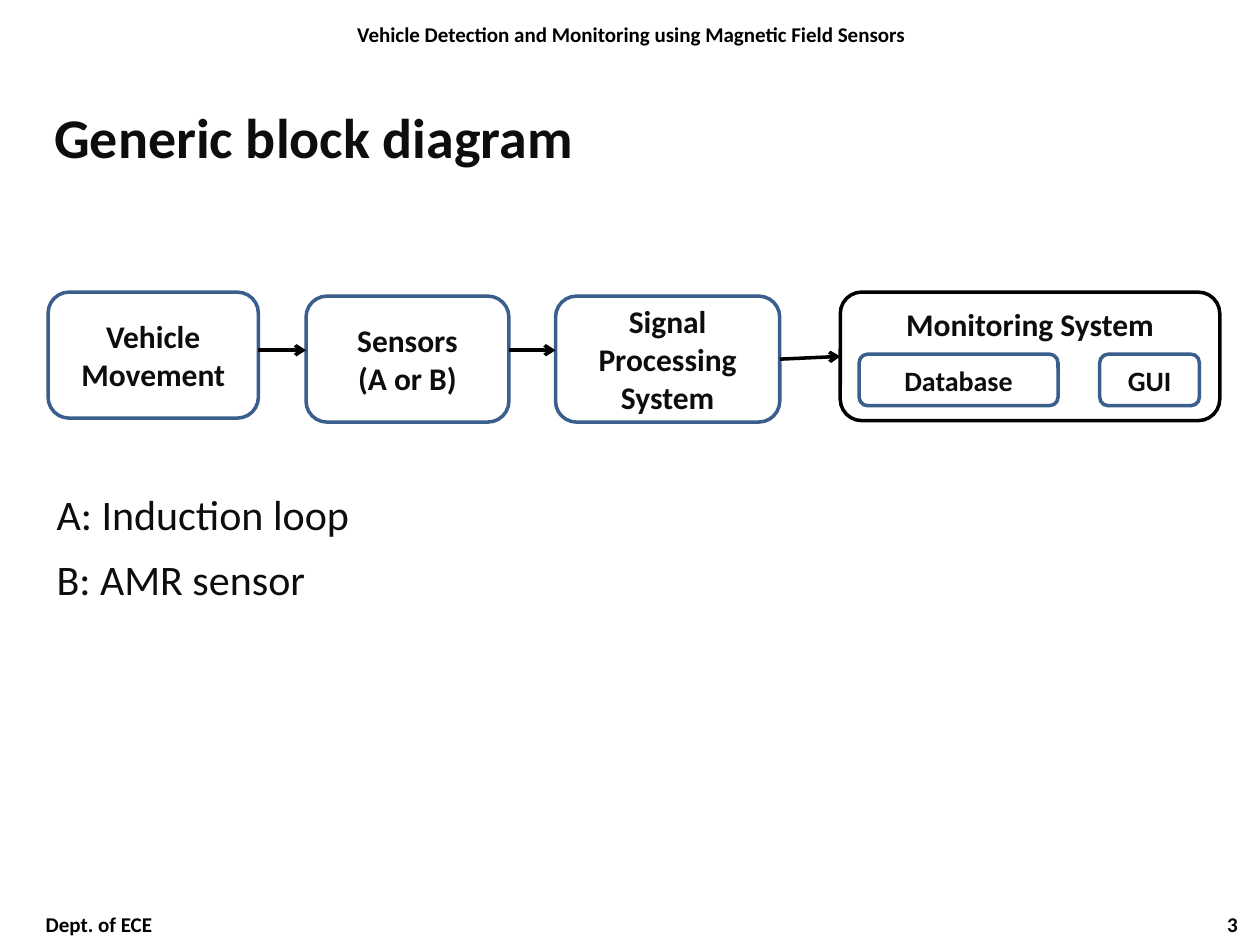
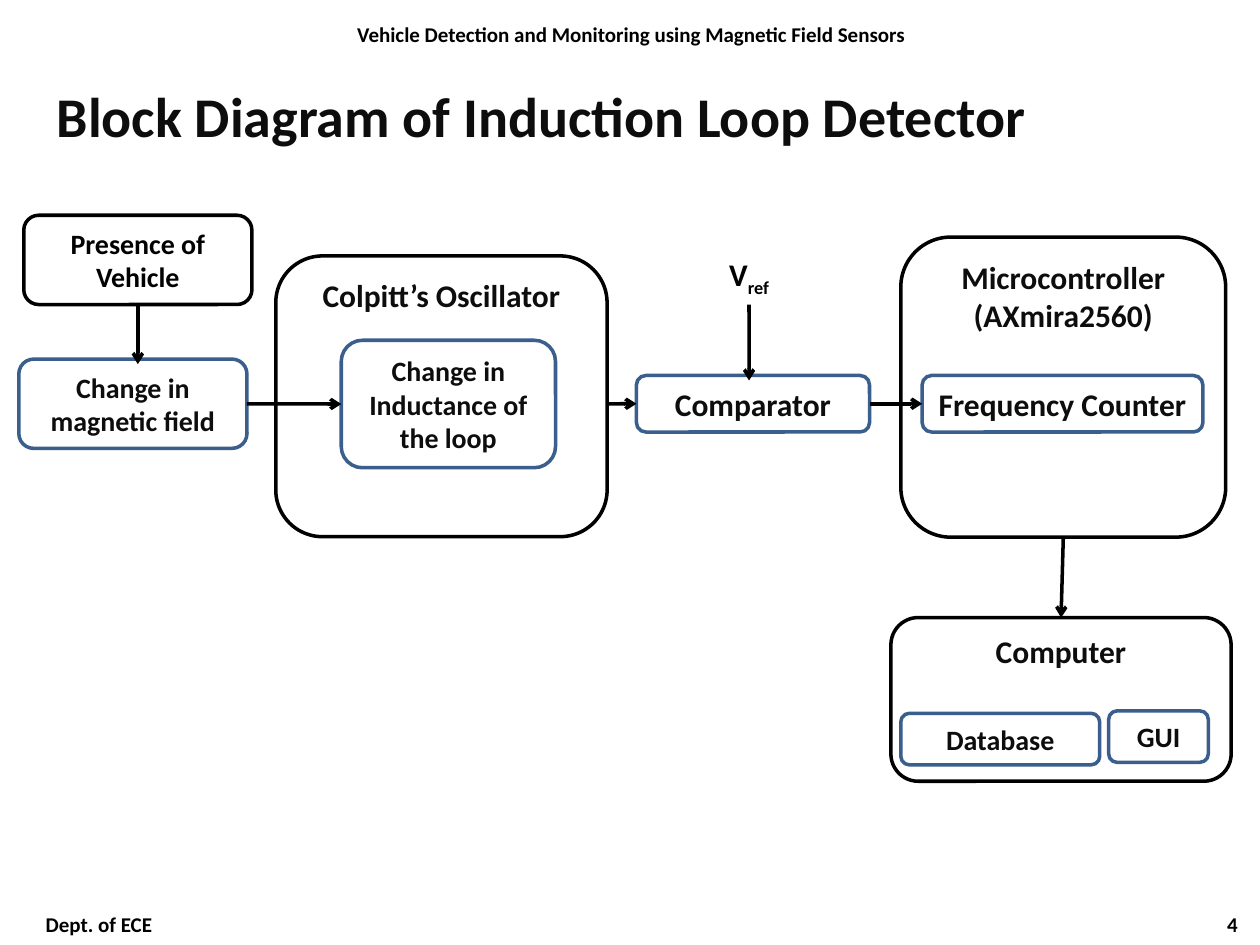
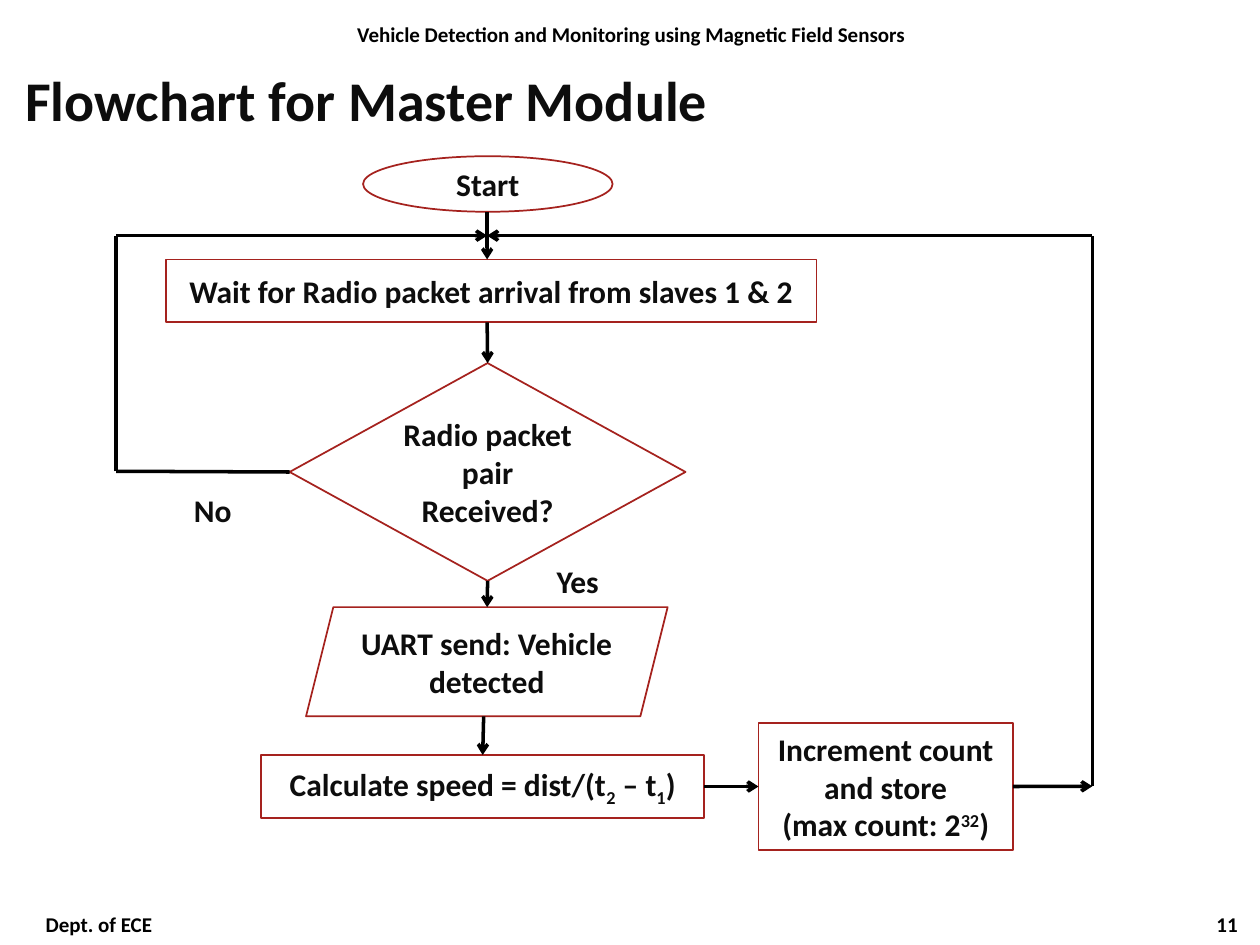
import dataclasses

import pptx
import pptx.dml.color
import pptx.enum.shapes
import pptx.enum.text
import pptx.oxml.ns
import pptx.util
from lxml import etree

Cm = pptx.util.Cm
Pt = pptx.util.Pt
qn = pptx.oxml.ns.qn
Form = pptx.enum.shapes.MSO_SHAPE
Align = pptx.enum.text.PP_ALIGN
Anchor = pptx.enum.text.MSO_ANCHOR
TOP, LEFT, BOTTOM, RIGHT = range(4)


@dataclasses.dataclass(frozen=True)
class Theme:
    font: str = "Calibri"
    ink: str = "0D0D0D"
    black: str = "000000"
    white: str = "FFFFFF"
    blue: str = "3A5F8C"
    red: str = "A5221E"
    title: int = 32
    body: int = 24
    label: int = 18
    small: int = 16
    note: int = 12
    thick: float = 2
    thin: float = 1


def color(code):
    return pptx.dml.color.RGBColor.from_string(code)


class Deck:
    def __init__(self, theme):
        self.theme = theme
        self.show = pptx.Presentation()
        self.show.slide_width, self.show.slide_height = Cm(25.4), Cm(19.05)
        self.slide = None

    def page(self, title, number, at):
        """Start a slide with its title, header and footer."""
        t = self.theme
        self.slide = self.show.slides.add_slide(self.show.slide_layouts[5])
        head = self.slide.shapes.title
        head.left, head.top, head.width, head.height = map(Cm, at)
        self.label(head, title, t.title, align=Align.LEFT, anchor=Anchor.TOP)
        note = dict(size=t.note, ink=t.black, bold=True)
        self.text("Vehicle Detection and Monitoring using Magnetic Field Sensors",
                  (6.8, 0.3, 11.86, 1.02), align=Align.CENTER, **note)
        self.text("Dept. of ECE", (0.67, 17.98, 6, 1.02),
                  anchor=Anchor.BOTTOM, **note)
        self.text(number, (22.2, 17.98, 3, 1.02), align=Align.RIGHT,
                  anchor=Anchor.BOTTOM, **note)

    def label(self, shape, words, size, ink=None, bold=True,
              align=Align.CENTER, anchor=Anchor.MIDDLE, gap=0):
        """Fill in text; after a bar, _ lowers a piece and ^ raises it."""
        frame = shape.text_frame
        frame.word_wrap = True
        frame.vertical_anchor = anchor
        for i, row in enumerate(words.split("\n")):
            para = frame.add_paragraph() if i else frame.paragraphs[0]
            para.alignment = align
            para.space_before = Pt(gap if i else 0)
            font = para.font
            font.name, font.size, font.bold = self.theme.font, Pt(size), bold
            font.color.rgb = color(ink or self.theme.ink)
            for piece in row.split("|"):
                shift = {"_": "-25000", "^": "30000"}.get(piece[0])
                run = para.add_run()
                run.text = piece[1:] if shift else piece
                if shift:
                    run._r.get_or_add_rPr().set("baseline", shift)

    def text(self, words, at, size, align=Align.LEFT, anchor=Anchor.TOP, **style):
        box = self.slide.shapes.add_textbox(*map(Cm, at))
        self.label(box, words, size, align=align, anchor=anchor, **style)
        return box

    def shape(self, form, words, at, edge, width, size=None, fill=True, **style):
        box = self.slide.shapes.add_shape(form, *map(Cm, at))
        box.shadow.inherit = False
        if fill:
            box.fill.solid()
            box.fill.fore_color.rgb = color(self.theme.white)
        else:
            box.fill.background()
        box.line.color.rgb = color(edge)
        box.line.width = Pt(width)
        self.label(box, words, size or self.theme.label, **style)
        return box

    def block(self, words, at, size=None, edge=None, **style):
        return self.shape(Form.ROUNDED_RECTANGLE, words, at,
                          edge or self.theme.blue, self.theme.thick, size, **style)

    def group(self, words, at):
        """Draw an unfilled frame around other blocks, with its label on top."""
        return self.block(words, at, edge=self.theme.black, fill=False,
                          anchor=Anchor.TOP)

    def step(self, form, words, at):
        return self.shape(form, words, at, self.theme.red, self.theme.thin)

    def line(self, start, end, arrow=True):
        """Draw from start to end; each is a point or a (shape, side) pair."""
        wire = self.slide.shapes.add_connector(
            pptx.enum.shapes.MSO_CONNECTOR.STRAIGHT, 0, 0, 0, 0)
        if isinstance(start[0], (int, float)):
            wire.begin_x, wire.begin_y = map(Cm, start)
        else:
            wire.begin_connect(*start)
        if isinstance(end[0], (int, float)):
            wire.end_x, wire.end_y = map(Cm, end)
        else:
            wire.end_connect(*end)
        wire.line.color.rgb = color(self.theme.black)
        wire.line.width = Pt(self.theme.thick)
        props = wire._element.spPr
        if arrow:
            etree.SubElement(props.find(qn("a:ln")), qn("a:tailEnd"), type="arrow")
        etree.SubElement(props, qn("a:effectLst"))


def generic(deck):
    t = deck.theme
    deck.page("Generic block diagram", "3", (0.84, 1.93, 23.8, 1.88))

    # Chain of blocks
    deck.block("Vehicle Movement", (0.97, 5.89, 4.24, 2.54))
    deck.block("Sensors\n(A or B)", (6.17, 5.97, 4.09, 2.54))
    signal = deck.block("Signal Processing System", (11.2, 5.97, 4.52, 2.54))
    monitor = deck.group("Monitoring System", (16.94, 5.89, 7.65, 2.59))
    deck.block("Database", (17.32, 7.14, 4.01, 1.04), t.small)
    deck.block("GUI", (22.17, 7.14, 2.01, 1.04), t.small)

    # Arrows
    for left, right in ((5.21, 6.17), (10.26, 11.2)):
        deck.line((left, 7.06), (right, 7.06))
    deck.line((signal, RIGHT), (monitor, LEFT))

    # Key
    deck.text("A: Induction loop\nB: AMR sensor", (0.89, 9.73, 7.67, 2.97),
              t.body, bold=False, gap=8)


def loop(deck):
    t = deck.theme
    deck.page("Block Diagram of Induction Loop Detector", "4",
              (0.89, 1.52, 23.8, 1.88))

    # Vehicle and field
    car = deck.block("Presence of Vehicle", (0.48, 4.34, 4.6, 1.8), t.small,
                     edge=t.black, ink=t.black)
    field = deck.block("Change in magnetic field", (0.38, 7.24, 4.6, 1.8), t.small)

    # Oscillator and comparator
    deck.group("Colpitt’s Oscillator", (5.56, 5.16, 6.68, 5.66))
    coil = deck.block("Change in Inductance of the loop",
                      (6.88, 6.86, 4.32, 2.57), t.small)
    ref = deck.text("V|_ref", (12.8, 5, 4.6, 1.14), t.label, ink=t.black,
                    align=Align.CENTER, anchor=Anchor.MIDDLE)
    judge = deck.block("Comparator", (12.83, 7.57, 4.7, 1.14))

    # Controller and computer
    chip = deck.group("Microcontroller\n(AXmira2560)", (18.16, 4.78, 6.55, 6.05))
    count = deck.block("Frequency Counter", (18.59, 7.57, 5.66, 1.14))
    host = deck.group("Computer", (17.96, 12.45, 6.86, 3.3))
    deck.block("Database", (18.16, 14.38, 4.01, 1.04), t.small)
    deck.block("GUI", (22.35, 14.33, 2.01, 1.04), t.small)

    # Arrows
    for start, end in (
        ((car, BOTTOM), (2.78, 7.34)),
        ((field, RIGHT), (coil, LEFT)),
        ((12.24, 8.14), (judge, LEFT)),
        ((ref, BOTTOM), (15.1, 7.67)),
        ((judge, RIGHT), (count, LEFT)),
        ((chip, BOTTOM), (host, TOP)),
    ):
        deck.line(start, end)


def master(deck):
    t = deck.theme
    deck.page("Flowchart for Master Module", "11", (0.25, 1.19, 24.71, 1.55))

    # Steps
    deck.step(Form.OVAL, "Start", (7.32, 3.15, 5.03, 1.12))
    deck.step(Form.RECTANGLE, "Wait for Radio packet arrival from slaves 1 & 2",
              (3.35, 5.23, 13.11, 1.27))
    test = deck.step(Form.FLOWCHART_DECISION, "Radio packet pair Received?",
                     (5.84, 7.32, 7.98, 4.39))
    deck.step(Form.PARALLELOGRAM, "UART send: Vehicle detected",
              (6.17, 12.24, 7.29, 2.2))
    speed = deck.step(Form.RECTANGLE, "Calculate speed = dist/(t|_2| – t|_1|)",
                      (5.26, 15.22, 8.94, 1.27))
    store = deck.step(Form.RECTANGLE,
                      "Increment count and store\n(max count: 2|^32|)",
                      (15.29, 14.57, 5.13, 2.57))

    # Main flow
    mid, join = 9.82, 4.75
    for start, end in (
        ((mid, 4.27), (mid, 5.23)),
        ((mid, 6.5), (test, TOP)),
        ((test, BOTTOM), (mid, 12.24)),
        ((9.75, 14.44), (speed, TOP)),
        ((speed, RIGHT), (store, LEFT)),
    ):
        deck.line(start, end)

    # Return loops
    near, far = 2.34, 22.02
    deck.line((test, LEFT), (near, 9.5), arrow=False)
    deck.line((near, 9.5), (near, join), arrow=False)
    deck.line((near, join), (mid, join))
    deck.line((store, RIGHT), (far, 15.85))
    deck.line((far, 15.85), (far, join), arrow=False)
    deck.line((far, join), (mid, join))

    # Answers
    deck.text("No", (3.66, 9.78, 1.5, 1.02), t.label)
    deck.text("Yes", (10.97, 11.2, 1.5, 1.02), t.label)


def main():
    deck = Deck(Theme())
    for draw in (generic, loop, master):
        draw(deck)
    deck.show.save("out.pptx")


if __name__ == "__main__":
    main()
